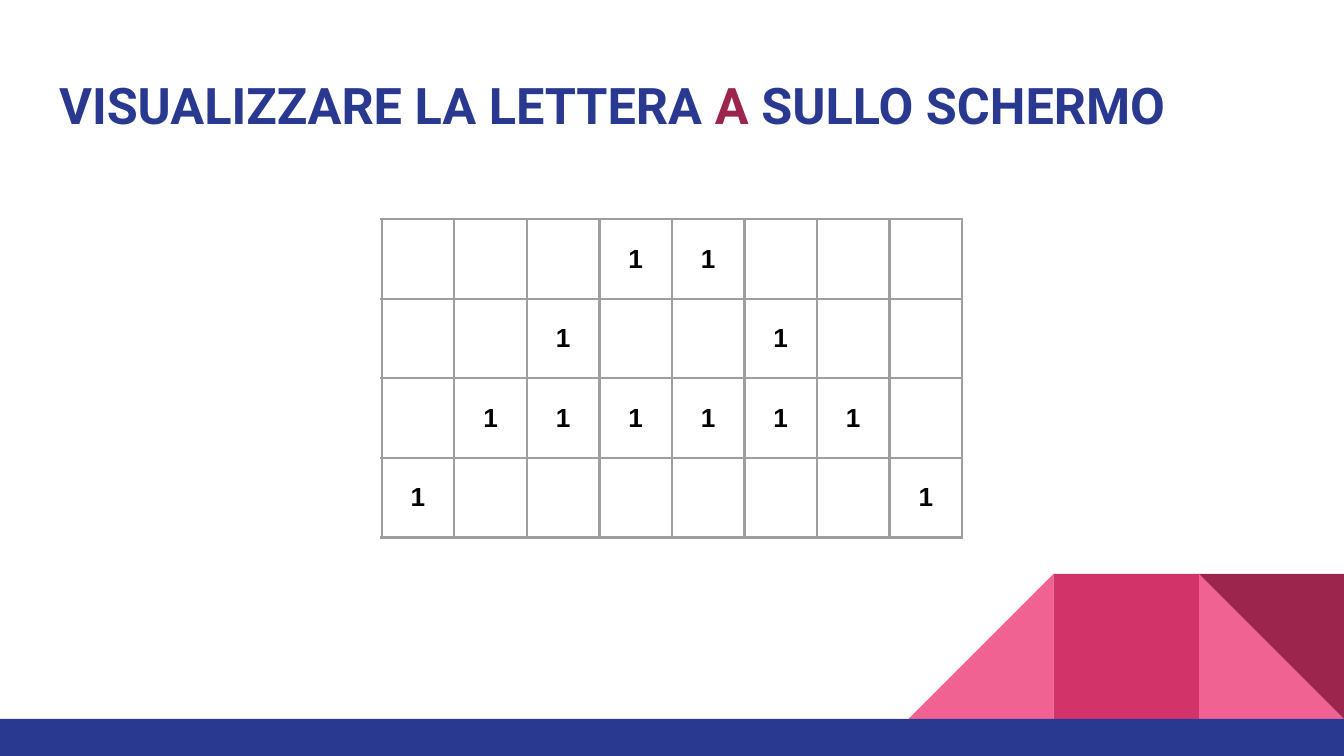
import pptx
import pptx.util
import pptx.dml.color
import pptx.enum.shapes
import pptx.enum.text
import pptx.oxml
import pptx.oxml.ns

# Widescreen page, 16 to 9
PAGE_WIDTH = 10
PAGE_HEIGHT = PAGE_WIDTH * 9 / 16
COLORS = {
    "blue": "2A3990", "pink": "F06292", "rose": "D23369", "wine": "9C254D",
    "grid": "9E9E9E", "black": "000000",
}
MARGIN = pptx.util.Inches(0.1)
INSETS = {f"margin_{side}": MARGIN for side in ("left", "top", "right", "bottom")}

# Pixels of the letter: "1" is a lit cell
LETTER = ["   11   ", "  1  1  ", " 111111 ", "1      1"]


def rgb(name):
    return pptx.dml.color.RGBColor.from_string(COLORS[name])


def inches(box):
    return [pptx.util.Inches(length) for length in box]


def set_values(target, values):
    for name, value in values.items():
        setattr(target, name, value)


def add_span(para, text, color, **font_values):
    span = para.add_run()
    span.text = text
    set_values(span.font, font_values)
    span.font.color.rgb = rgb(color)


def add_block(page, kind, box, color, rotation=0):
    shape = page.shapes.add_shape(kind, *inches(box))
    shape.shadow.inherit = False
    shape.rotation = rotation
    shape.fill.solid()
    shape.fill.fore_color.rgb = rgb(color)
    shape.line.fill.background()


def add_decoration(page, box):
    """Row of square tiles in the corner, above a full-width footer band."""
    left, top, width, height = box
    kinds = pptx.enum.shapes.MSO_SHAPE
    tile = width / 3
    tiles = [
        (2, kinds.RIGHT_TRIANGLE, "pink", 0),
        (0, kinds.RIGHT_TRIANGLE, "pink", 270),
        (1, kinds.RECTANGLE, "rose", 0),
        (2, kinds.RIGHT_TRIANGLE, "wine", 180),
    ]
    for column, kind, color, rotation in tiles:
        add_block(page, kind, (left + column * tile, top, tile, tile), color, rotation)
    band_top = top + tile
    add_block(page, kinds.RECTANGLE, (0, band_top, PAGE_WIDTH, top + height - band_top), "blue")


def add_title(page, box):
    title = page.shapes.title
    title.left, title.top, title.width, title.height = inches(box)
    frame = title.text_frame
    set_values(frame, {**INSETS, "word_wrap": True,
                       "auto_size": pptx.enum.text.MSO_AUTO_SIZE.NONE,
                       "vertical_anchor": pptx.enum.text.MSO_ANCHOR.TOP})
    para = frame.paragraphs[0]
    para.alignment = pptx.enum.text.PP_ALIGN.LEFT
    spans = [("VISUALIZZARE LA LETTERA ", "blue"), ("A", "wine"), (" SULLO SCHERMO", "blue")]
    for text, color in spans:
        add_span(para, text, color, size=pptx.util.Pt(27), name="Roboto", bold=True)


def add_borders(cell):
    properties = cell._tc.get_or_add_tcPr()
    for position, side in enumerate(("lnL", "lnR", "lnT", "lnB")):
        properties.insert(position, pptx.oxml.parse_xml(
            f'<a:{side} {pptx.oxml.ns.nsdecls("a")} w="{pptx.util.Pt(1.5)}"><a:solidFill>'
            f'<a:srgbClr val="{COLORS["grid"]}"/></a:solidFill></a:{side}>'))


def add_letter_grid(page, box):
    rows, columns = len(LETTER), len(LETTER[0])
    table = page.shapes.add_table(rows, columns, *inches(box)).table
    set_values(table, {"first_row": False, "horz_banding": False})
    for row, pixels in enumerate(LETTER):
        for column, pixel in enumerate(pixels):
            cell = table.cell(row, column)
            set_values(cell, {**INSETS, "vertical_anchor": pptx.enum.text.MSO_ANCHOR.MIDDLE})
            cell.fill.background()
            add_borders(cell)
            para = cell.text_frame.paragraphs[0]
            para.alignment = pptx.enum.text.PP_ALIGN.CENTER
            if pixel == "1":
                add_span(para, pixel, "black", size=pptx.util.Pt(14), name="Arial", bold=True)


def main():
    deck = pptx.Presentation()
    deck.slide_width, deck.slide_height = inches((PAGE_WIDTH, PAGE_HEIGHT))
    page = deck.slides.add_slide(deck.slide_layouts[5])
    add_decoration(page, (0.676 * PAGE_WIDTH, 0.759 * PAGE_HEIGHT,
                          0.324 * PAGE_WIDTH, 0.241 * PAGE_HEIGHT))
    add_title(page, (0.034 * PAGE_WIDTH, 0.08 * PAGE_HEIGHT,
                     0.932 * PAGE_WIDTH, 0.117 * PAGE_HEIGHT))
    add_letter_grid(page, (0.284 * PAGE_WIDTH, 0.29 * PAGE_HEIGHT,
                           0.432 * PAGE_WIDTH, 0.421 * PAGE_HEIGHT))
    deck.save("out.pptx")


if __name__ == "__main__":
    main()
